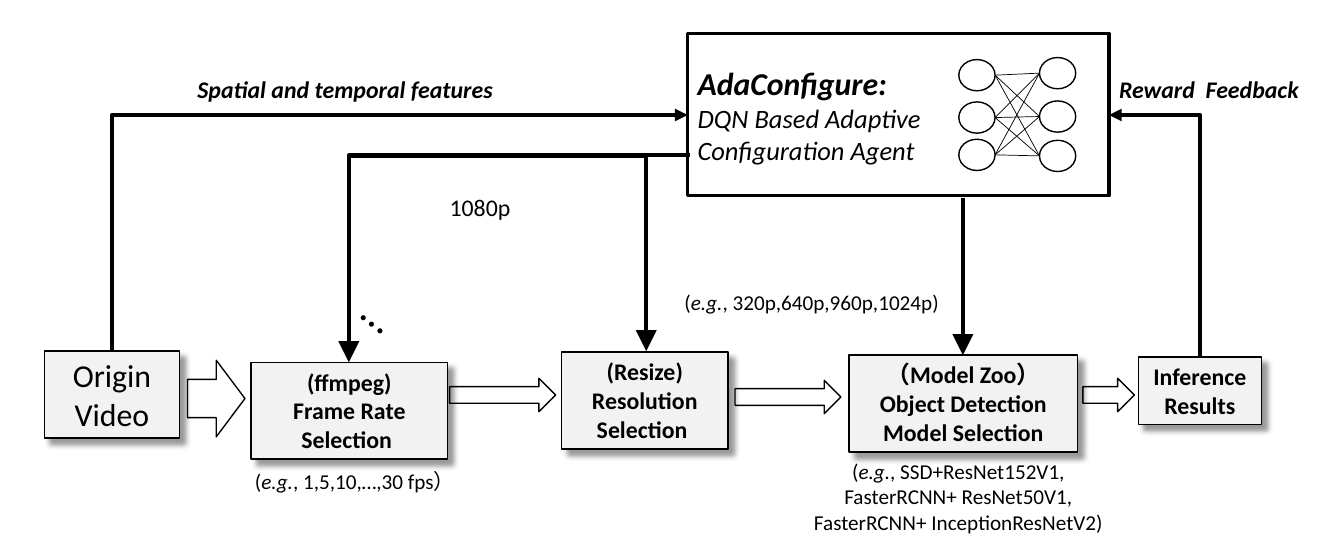
from itertools import product

from lxml import etree
from pptx import Presentation
from pptx.dml.color import RGBColor
from pptx.enum.shapes import MSO_CONNECTOR, MSO_SHAPE
from pptx.enum.text import MSO_ANCHOR, MSO_AUTO_SIZE, PP_ALIGN
from pptx.oxml.ns import qn
from pptx.util import Inches, Pt

RECT, OVAL, ARROW = MSO_SHAPE.RECTANGLE, MSO_SHAPE.OVAL, MSO_SHAPE.RIGHT_ARROW
STRAIGHT, ELBOW = MSO_CONNECTOR.STRAIGHT, MSO_CONNECTOR.ELBOW
TOP, MIDDLE = MSO_ANCHOR.TOP, MSO_ANCHOR.MIDDLE
LEFT, CENTER = PP_ALIGN.LEFT, PP_ALIGN.CENTER
GROW = MSO_AUTO_SIZE.SHAPE_TO_FIT_TEXT

COLORS = {"ink": "000000", "paper": "FFFFFF", "stage": "F2F2F2"}
FONT = "Calibri"

AGENT_BOX = (6.82, 0.33, 4.18, 1.61)
AGENT_TEXT = [
    [("AdaConfigure:", 22.7, "bi")],
    [("DQN Based Adaptive", 18.9, "i")],
    [("Configuration Agent", 18.9, "i")],
]

STAGES = [
    ((0.44, 3.48, 1.34, 0.86), 22.7, "", ["Origin", "Video"]),
    ((2.49, 3.59, 1.95, 0.96), 17, "b", ["(ffmpeg)", "Frame Rate", "Selection "]),
    ((5.57, 3.49, 1.65, 0.96), 17, "b", ["(Resize) Resolution", "Selection "]),
    ((8.42, 3.52, 2.27, 0.96), 17, "b",
     ["（Model Zoo）", "Object Detection", "Model Selection"]),
    ((11.29, 3.54, 1.22, 0.67), 17, "b", ["Inference", "Results"]),
]

FLOW_ARROWS = [
    (1.86, 3.57, 0.57, 0.76),
    (4.46, 3.75, 1.05, 0.33),
    (7.29, 3.77, 1.05, 0.33),
    (10.74, 3.75, 0.51, 0.33),
]

LABELS = [
    ((1.86, 0.69, 4.1, 0.39), LEFT, True, 0,
     [("Spatial and temporal features", 17, "bi")]),
    ((11, 0.69, 2.49, 0.39), LEFT, True, 0, [("Reward  Feedback", 17, "bi")]),
    ((4.36, 1.86, 0.81, 0.39), LEFT, False, 0, [("1080p", 17, "")]),
    ((3.53, 2.8, 0.49, 0.61), LEFT, True, 38.2, [("…", 30.2, "")]),
    ((2.43, 4.59, 2.65, 0.36), LEFT, True, 0,
     [("(", 15.1, ""), ("e.g.", 15.1, "i"), (", 1,5,10,…,30 fps）", 15.1, "")]),
    ((6.69, 2.82, 2.75, 0.36), LEFT, False, 0,
     [("(", 15.1, ""), ("e.g.", 15.1, "i"), (", 320p,640p,960p,1024p)", 15.1, "")]),
    ((7.78, 4.49, 3.45, 0.86), CENTER, True, 0,
     [("(", 15.1, ""), ("e.g.", 15.1, "i"),
      (", SSD+ResNet152V1, FasterRCNN+ ResNet50V1, FasterRCNN+ InceptionResNetV2)",
       15.1, "")]),
]

AGENT_LINKS = [
    (ELBOW, (6.82, 1.14), (1.11, 3.48), "headEnd", "med"),
    (ELBOW, (11, 1.14), (11.9, 3.54), "headEnd", "med"),
    (ELBOW, (6.84, 1.54), (6.41, 3.48), "tailEnd", "lg"),
    (ELBOW, (6.41, 1.54), (3.46, 3.59), "tailEnd", "lg"),
    (STRAIGHT, (9.55, 1.96), (9.55, 3.52), "tailEnd", "lg"),
]

NODE_W, NODE_H = 0.36, 0.31
INPUT_X, INPUT_TOPS = 9.51, (0.59, 1.01, 1.38)
OUTPUT_X, OUTPUT_TOPS = 10.31, (0.57, 1, 1.39)


def color(name):
    return RGBColor.from_string(COLORS[name])


def add_box(s, kind, box, fill="paper", width=1):
    sp = s.shapes.add_shape(kind, *map(Inches, box))
    sp.shadow.inherit = False
    sp.fill.solid()
    sp.fill.fore_color.rgb = color(fill)
    sp.line.color.rgb = color("ink")
    sp.line.width = Pt(width)
    return sp


def write(sp, paragraphs, align, anchor=TOP, wrap=True):
    tf = sp.text_frame
    tf.word_wrap = wrap
    tf.vertical_anchor = anchor
    for i, runs in enumerate(paragraphs):
        p = tf.add_paragraph() if i else tf.paragraphs[0]
        p.alignment = align
        for text, size, style in runs:
            r = p.add_run()
            r.text = text
            r.font.name = FONT
            r.font.size = Pt(size)
            r.font.bold = "b" in style
            r.font.italic = "i" in style
            r.font.color.rgb = color("ink")


def add_shadow(sp):
    effects = sp._element.spPr.find(qn("a:effectLst"))
    shadow = etree.SubElement(effects, qn("a:outerShdw"), blurRad=str(Pt(4)),
                              dist=str(Pt(6)), dir=str(45 * 60000),
                              algn="tl", rotWithShape="0")
    tint = etree.SubElement(shadow, qn("a:srgbClr"), val=COLORS["ink"])
    etree.SubElement(tint, qn("a:alpha"), val="40000")


def add_line(s, kind, start, end, width):
    c = s.shapes.add_connector(kind, *map(Inches, start + end))
    c.line.color.rgb = color("ink")
    c.line.width = Pt(width)
    etree.SubElement(c._element.spPr, qn("a:effectLst"))
    return c


def add_link(s, kind, start, end, tip, size):
    c = add_line(s, kind, start, end, 3)
    if kind == ELBOW:
        c._element.spPr.find(qn("a:prstGeom")).set("prst", "bentConnector2")
    ln = c._element.spPr.find(qn("a:ln"))
    etree.SubElement(ln, qn("a:" + tip), type="triangle", w=size, len=size)


def add_network(s):
    for x, tops in ((INPUT_X, INPUT_TOPS), (OUTPUT_X, OUTPUT_TOPS)):
        for top in tops:
            add_box(s, OVAL, (x, top, NODE_W, NODE_H))
    for a, b in product(INPUT_TOPS, OUTPUT_TOPS):
        add_line(s, STRAIGHT, (INPUT_X + NODE_W, a + NODE_H / 2),
                 (OUTPUT_X, b + NODE_H / 2), 0.5)


def main():
    prs = Presentation()
    prs.slide_width, prs.slide_height = Inches(13.33), Inches(5.53)
    s = prs.slides.add_slide(prs.slide_layouts[6])

    agent = add_box(s, RECT, AGENT_BOX, width=2.25)
    write(agent, AGENT_TEXT, LEFT, MIDDLE)
    add_network(s)

    for box in FLOW_ARROWS:
        add_box(s, ARROW, box)
    for box, size, style, lines in STAGES:
        stage = add_box(s, RECT, box, "stage")
        add_shadow(stage)
        write(stage, [[(line, size, style)] for line in lines], CENTER)
    for link in AGENT_LINKS:
        add_link(s, *link)
    for box, align, wrap, angle, runs in LABELS:
        label = s.shapes.add_textbox(*map(Inches, box))
        label.rotation = angle
        write(label, [runs], align, wrap=wrap)
        label.text_frame.auto_size = GROW

    prs.save("out.pptx")


if __name__ == "__main__":
    main()
